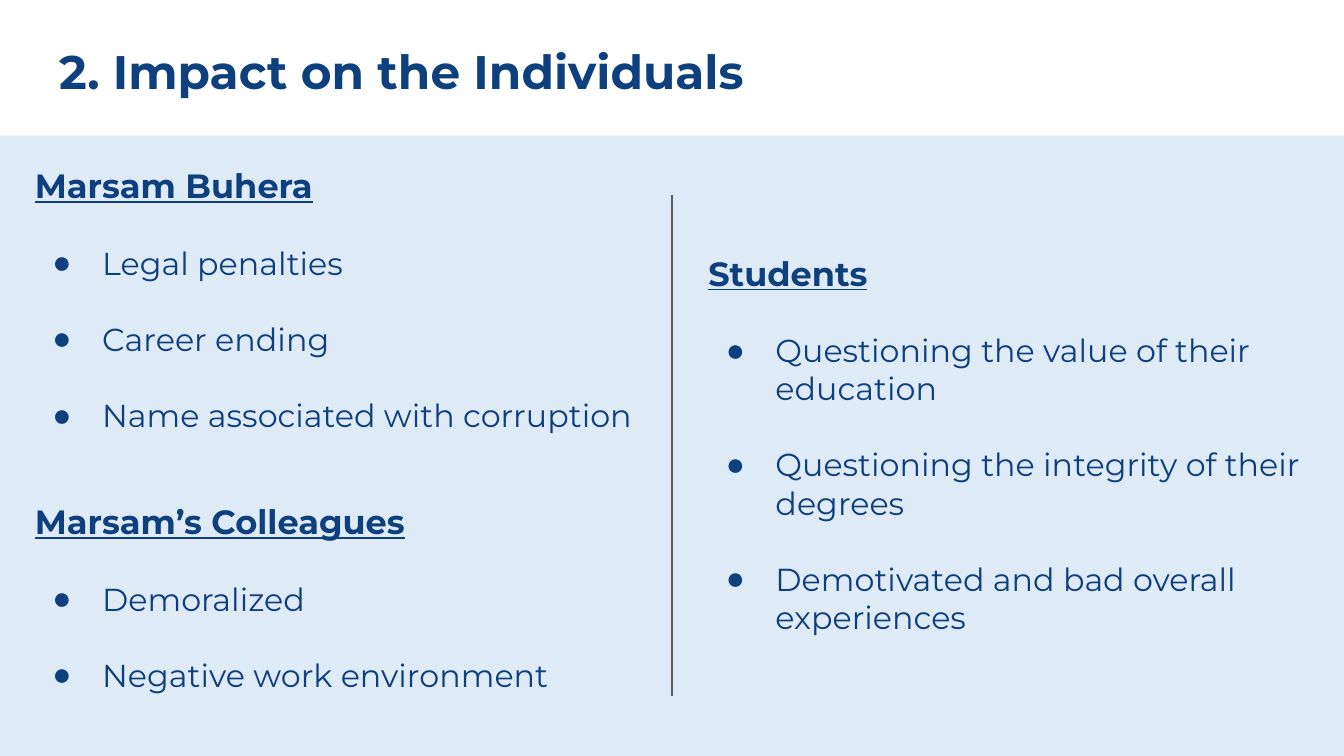
from dataclasses import dataclass

from lxml.etree import SubElement
from pptx import Presentation
from pptx.dml.color import RGBColor
from pptx.enum.shapes import MSO_CONNECTOR, MSO_SHAPE
from pptx.enum.text import MSO_ANCHOR, MSO_AUTO_SIZE, PP_ALIGN
from pptx.oxml.ns import qn
from pptx.util import Inches, Pt


@dataclass(frozen=True)
class Theme:
    font: str = "Montserrat"
    bullet_font: str = "Arial"
    ink: str = "0F407E"
    panel: str = "CFE2F3"
    rule: str = "595959"
    title: float = 25.2
    heading: float = 18
    body: float = 17
    gap: float = 20.4


theme = Theme()


def add_run(p, text, size, bold=False, underline=False):
    r = p.add_run()
    r.text = text
    r.font.name = theme.font
    r.font.size = Pt(size)
    r.font.bold = bold
    r.font.underline = underline
    r.font.color.rgb = RGBColor.from_string(theme.ink)


def set_bullet(p, char=None):
    pPr = p._p.get_or_add_pPr()
    pPr.set("marL", str(Inches(0.5 if char else 0)))
    pPr.set("indent", str(Inches(-0.37 if char else 0)))
    if char:
        color = SubElement(pPr, qn("a:buClr"))
        SubElement(color, qn("a:srgbClr"), val=theme.ink)
        SubElement(pPr, qn("a:buFont"), typeface=theme.bullet_font)
        SubElement(pPr, qn("a:buChar"), char=char)
    else:
        SubElement(pPr, qn("a:buNone"))


# Widescreen slide, 16:9
prs = Presentation()
prs.slide_width = Inches(10)
prs.slide_height = Inches(10) * 9 // 16
s = prs.slides.add_slide(prs.slide_layouts.get_by_name("Comparison"))

# Pale panel behind the text, down to the bottom edge
panel_top = Inches(1.01)
panel = s.shapes.add_shape(
    MSO_SHAPE.RECTANGLE, Inches(0), panel_top,
    prs.slide_width, prs.slide_height - panel_top)
panel.shadow.inherit = False
panel.fill.solid()
panel.fill.fore_color.rgb = RGBColor.from_string(theme.panel)
panel.line.fill.background()
fill_color = panel._element.spPr.find(qn("a:solidFill"))[0]
SubElement(fill_color, qn("a:alpha"), val="68000")
s.shapes._spTree.insert(2, panel._element)

# Title
title = s.shapes.title
title.left, title.top = Inches(0.34), Inches(0.21)
title.width, title.height = Inches(9.32), Inches(0.63)
p = title.text_frame.paragraphs[0]
p.alignment = PP_ALIGN.LEFT
add_run(p, "2. Impact on the Individuals", theme.title, bold=True)

# Groups of people: placeholder, box, heading, effects
groups = [
    (1, (0.16, 1.13, 4.84, 2.22), "Marsam Buhera",
     ["Legal penalties", "Career ending", "Name associated with corruption"]),
    (2, (5.17, 1.78, 4.69, 3.07), "Students",
     ["Questioning the value of their education",
      "Questioning the integrity of their degrees",
      "Demotivated and bad overall experiences"]),
    (3, (0.16, 3.63, 4.84, 1.64), "Marsam’s Colleagues",
     ["Demoralized", "Negative work environment"]),
]
bodies = {sp.placeholder_format.idx: sp for sp in s.placeholders}
for idx, box, heading, effects in groups:
    sp = bodies[idx]
    sp.left, sp.top, sp.width, sp.height = map(Inches, box)
    tf = sp.text_frame
    tf.word_wrap = True
    tf.auto_size = MSO_AUTO_SIZE.NONE
    tf.vertical_anchor = MSO_ANCHOR.TOP
    p = tf.paragraphs[0]
    set_bullet(p)
    p.space_before = Pt(0)
    add_run(p, heading, theme.heading, bold=True, underline=True)
    for effect in effects:
        p = tf.add_paragraph()
        set_bullet(p, "●")
        p.space_before = Pt(theme.gap)
        add_run(p, effect, theme.body)

# Text frames share the same insets
for sp in [title] + [bodies[group[0]] for group in groups]:
    tf = sp.text_frame
    tf.margin_left = tf.margin_right = Inches(0.1)
    tf.margin_top = tf.margin_bottom = Inches(0.1)

# Unused placeholder
unused = bodies[4]._element
unused.getparent().remove(unused)

# Divider between the columns
divider = s.shapes.add_connector(
    MSO_CONNECTOR.STRAIGHT, Inches(5), Inches(1.45), Inches(5), Inches(5.18))
divider.line.color.rgb = RGBColor.from_string(theme.rule)
divider.line.width = Pt(0.75)
SubElement(divider._element.spPr, qn("a:effectLst"))

prs.save("out.pptx")
